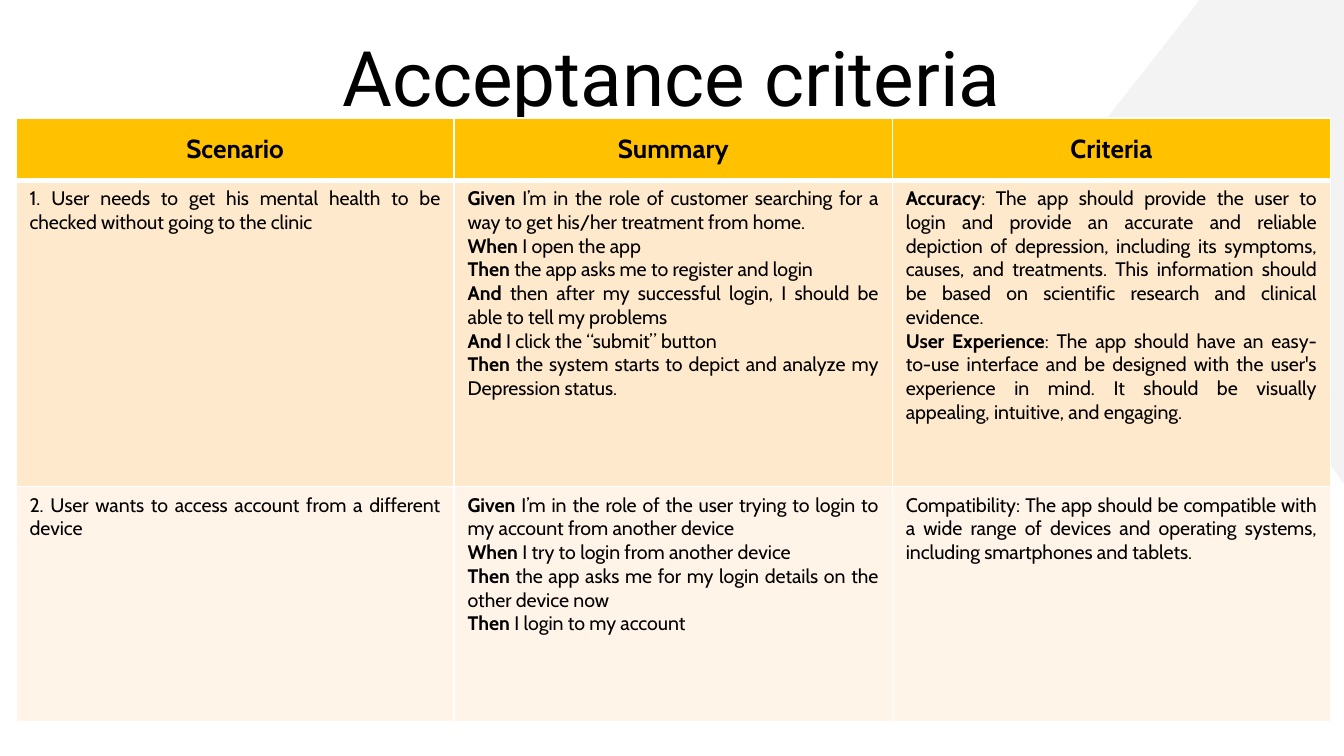
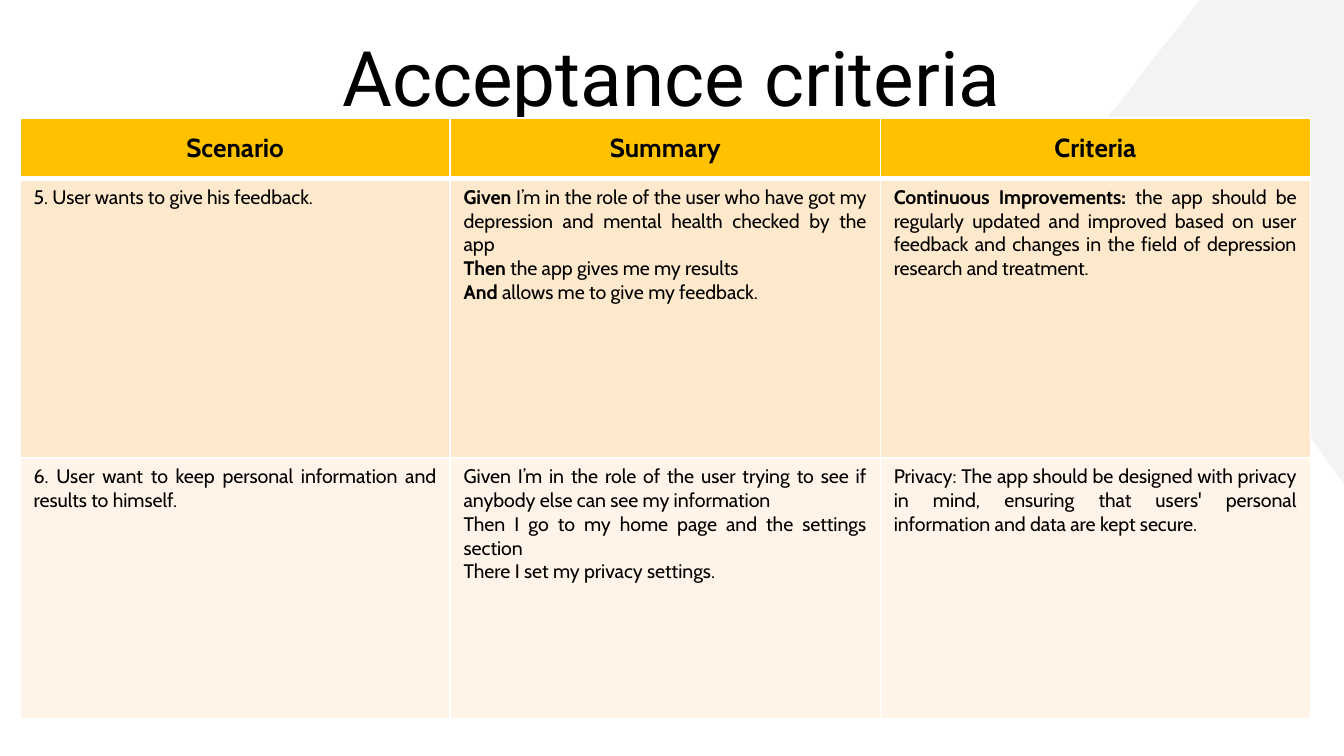
import lxml.etree
import pptx
import pptx.dml.color
import pptx.enum.shapes
import pptx.enum.text
import pptx.oxml.ns
import pptx.util
from pptx.util import Inches

BLACK = pptx.dml.color.RGBColor(0x00, 0x00, 0x00)
WHITE = pptx.dml.color.RGBColor(0xFF, 0xFF, 0xFF)
PALE_GREY = pptx.dml.color.RGBColor(0xF3, 0xF3, 0xF3)
AMBER = pptx.dml.color.RGBColor(0xFF, 0xC1, 0x00)
PEACH = pptx.dml.color.RGBColor(0xFF, 0xE9, 0xCC)
CREAM = pptx.dml.color.RGBColor(0xFF, 0xF4, 0xE7)
ROW_FILLS = (AMBER, PEACH, CREAM)

TITLE_FONT = "Roboto"
TABLE_FONT = "Cabin"
HEADINGS = ("Scenario", "Summary", "Criteria")
THIN, THICK = 1, 3

ALIGN = pptx.enum.text.PP_ALIGN
ANCHOR = pptx.enum.text.MSO_ANCHOR

# Each cell is a list of paragraphs; each paragraph is a (bold lead, plain text) pair.
FIRST_SCENARIOS = [
    [
        [("", "1. User needs to get his mental health to be checked without going to the clinic")],
        [
            ("Given ", "I’m in the role of customer searching for a way to get his/her "
                       "treatment from home."),
            ("When ", "I open the app"),
            ("Then ", "the app asks me to register and login"),
            ("And ", "then after my successful login, I should be able to tell my problems"),
            ("And ", "I click the “submit” button"),
            ("Then ", "the system starts to depict and analyze my Depression status."),
        ],
        [
            ("Accuracy", ": The app should provide the user to login and provide an accurate "
                         "and reliable depiction of depression, including its symptoms, causes, "
                         "and treatments. This information should be based on scientific "
                         "research and clinical evidence."),
            ("User Experience", ": The app should have an easy-to-use interface and be designed "
                                "with the user's experience in mind. It should be visually "
                                "appealing, intuitive, and engaging."),
        ],
    ],
    [
        [("", "2. User wants to access account from a different device")],
        [
            ("Given ", "I’m in the role of the user trying to login to my account from "
                       "another device"),
            ("When ", "I try to login from another device"),
            ("Then ", "the app asks me for my login details on the other device now"),
            ("Then ", "I login to my account"),
        ],
        [("", "Compatibility: The app should be compatible with a wide range of devices and "
              "operating systems, including smartphones and tablets.")],
    ],
]

LAST_SCENARIOS = [
    [
        [("", "5. User wants to give his feedback.")],
        [
            ("Given ", "I’m in the role of the user who have got my depression and mental "
                       "health checked by the app"),
            ("Then ", "the app gives me my results"),
            ("And", " allows me to give my feedback."),
        ],
        [("Continuous Improvements: ", "the app should be regularly updated and improved based "
                                       "on user feedback and changes in the field of depression "
                                       "research and treatment.")],
    ],
    [
        [("", "6. User want to keep personal information and results to himself.")],
        [
            ("", "Given I’m in the role of the user trying to see if anybody else can see my "
                 "information"),
            ("", "Then I go to my home page and the settings section"),
            ("", "There I set my privacy settings."),
        ],
        [("", "Privacy: The app should be designed with privacy in mind, ensuring that users' "
              "personal information and data are kept secure.")],
    ],
]


def add_span(para, text, font, size, bold=False):
    span = para.add_run()
    span.text = text
    span.font.name = font
    span.font.size = pptx.util.Pt(size)
    span.font.bold = bold
    span.font.color.rgb = BLACK


def add_corner(page):
    """Add the pale triangle that fills the upper right corner."""
    corner = page.shapes.add_shape(
        pptx.enum.shapes.MSO_SHAPE.ISOSCELES_TRIANGLE,
        Inches(6.58), Inches(0.18), Inches(4.97), Inches(1.87))
    corner.adjustments[0] = 0.52
    corner.rotation = 270
    corner.shadow.inherit = False
    corner.fill.solid()
    corner.fill.fore_color.rgb = PALE_GREY
    corner.line.fill.background()


def add_title(page, text):
    box = page.shapes.add_textbox(Inches(0.57), Inches(0.25), Inches(8.86), Inches(0.63))
    frame = box.text_frame
    frame.word_wrap = True
    frame.vertical_anchor = ANCHOR.MIDDLE
    frame.margin_left = frame.margin_right = Inches(0.1)
    frame.margin_top = frame.margin_bottom = Inches(0.1)
    para = frame.paragraphs[0]
    para.alignment = ALIGN.CENTER
    add_span(para, text, TITLE_FONT, 41)


def set_borders(cell, top, bottom):
    """Draw white cell borders; widths are in points and the sides are thin."""
    properties = cell._tc.get_or_add_tcPr()
    widths = {"a:lnL": THIN, "a:lnR": THIN, "a:lnT": top, "a:lnB": bottom}
    for position, (tag, width) in enumerate(widths.items()):
        line = lxml.etree.Element(pptx.oxml.ns.qn(tag), w=str(pptx.util.Pt(width)))
        fill = lxml.etree.SubElement(line, pptx.oxml.ns.qn("a:solidFill"))
        lxml.etree.SubElement(fill, pptx.oxml.ns.qn("a:srgbClr"), val=str(WHITE))
        properties.insert(position, line)


def fill_heading(cell, text):
    cell.vertical_anchor = ANCHOR.MIDDLE
    para = cell.text_frame.paragraphs[0]
    para.alignment = ALIGN.CENTER
    add_span(para, text, TABLE_FONT, 14, bold=True)


def fill_body(cell, paragraphs):
    frame = cell.text_frame
    for index, (lead, text) in enumerate(paragraphs):
        para = frame.add_paragraph() if index else frame.paragraphs[0]
        para.alignment = ALIGN.JUSTIFY
        if lead:
            add_span(para, lead, TABLE_FONT, 10.5, bold=True)
        add_span(para, text, TABLE_FONT, 10.5)


def add_criteria_table(page, left, column_width, row_heights, scenarios):
    rows = [HEADINGS] + scenarios
    table = page.shapes.add_table(
        len(rows), len(HEADINGS), Inches(left), Inches(0.88),
        Inches(column_width * len(HEADINGS)), Inches(sum(row_heights))).table
    for column in table.columns:
        column.width = Inches(column_width)
    for row, height in zip(table.rows, row_heights):
        row.height = Inches(height)
    for row_index, contents in enumerate(rows):
        for column_index, content in enumerate(contents):
            cell = table.cell(row_index, column_index)
            cell.fill.solid()
            cell.fill.fore_color.rgb = ROW_FILLS[row_index]
            set_borders(cell, top=THICK if row_index == 1 else THIN,
                        bottom=THICK if row_index == 0 else THIN)
            if row_index == 0:
                fill_heading(cell, content)
            else:
                fill_body(cell, content)


def add_criteria_page(deck, left, column_width, row_heights, scenarios):
    page = deck.slides.add_slide(deck.slide_layouts[6])
    page.background.fill.solid()
    page.background.fill.fore_color.rgb = WHITE
    add_corner(page)
    add_title(page, "Acceptance criteria")
    add_criteria_table(page, left, column_width, row_heights, scenarios)


def main():
    deck = pptx.Presentation()
    deck.slide_width = Inches(10)
    deck.slide_height = deck.slide_width * 9 // 16
    add_criteria_page(deck, 0.12, 3.26, (0.46, 2.28, 1.75), FIRST_SCENARIOS)
    add_criteria_page(deck, 0.15, 3.2, (0.45, 2.08, 1.94), LAST_SCENARIOS)
    deck.save("out.pptx")


if __name__ == "__main__":
    main()
